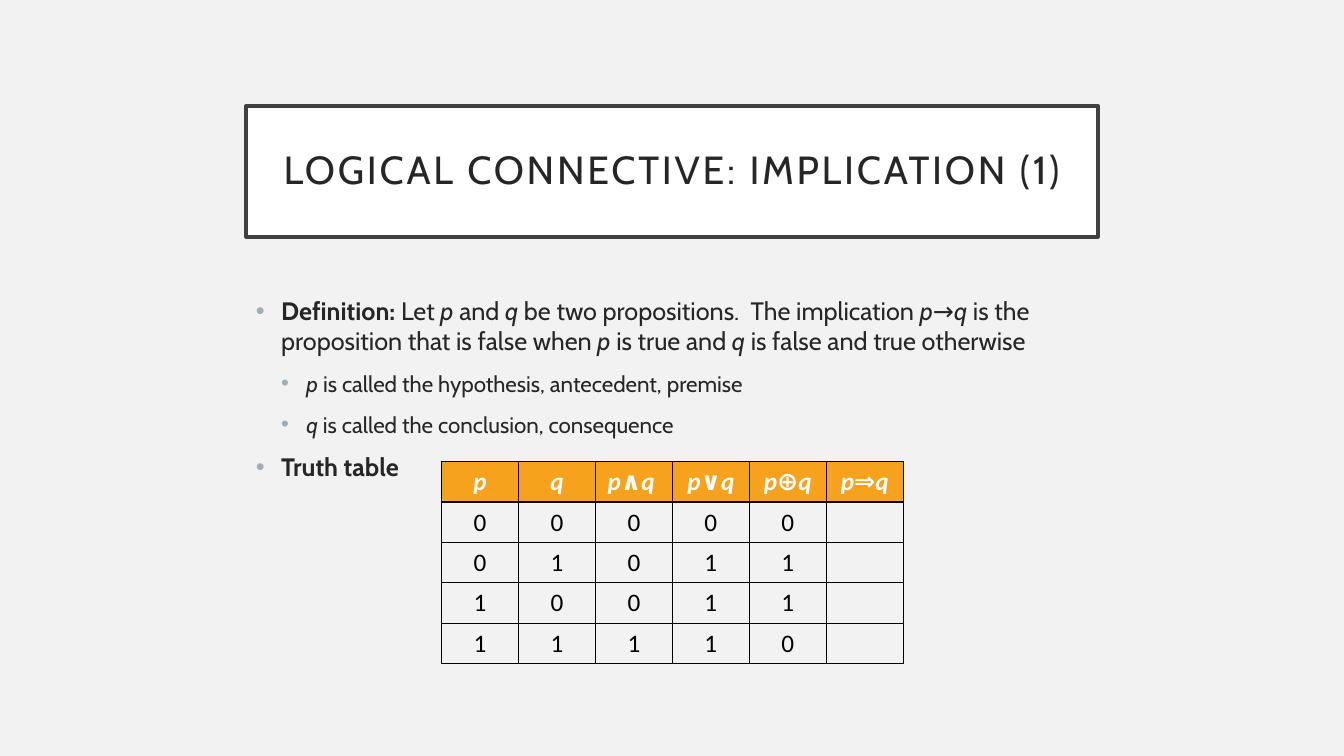
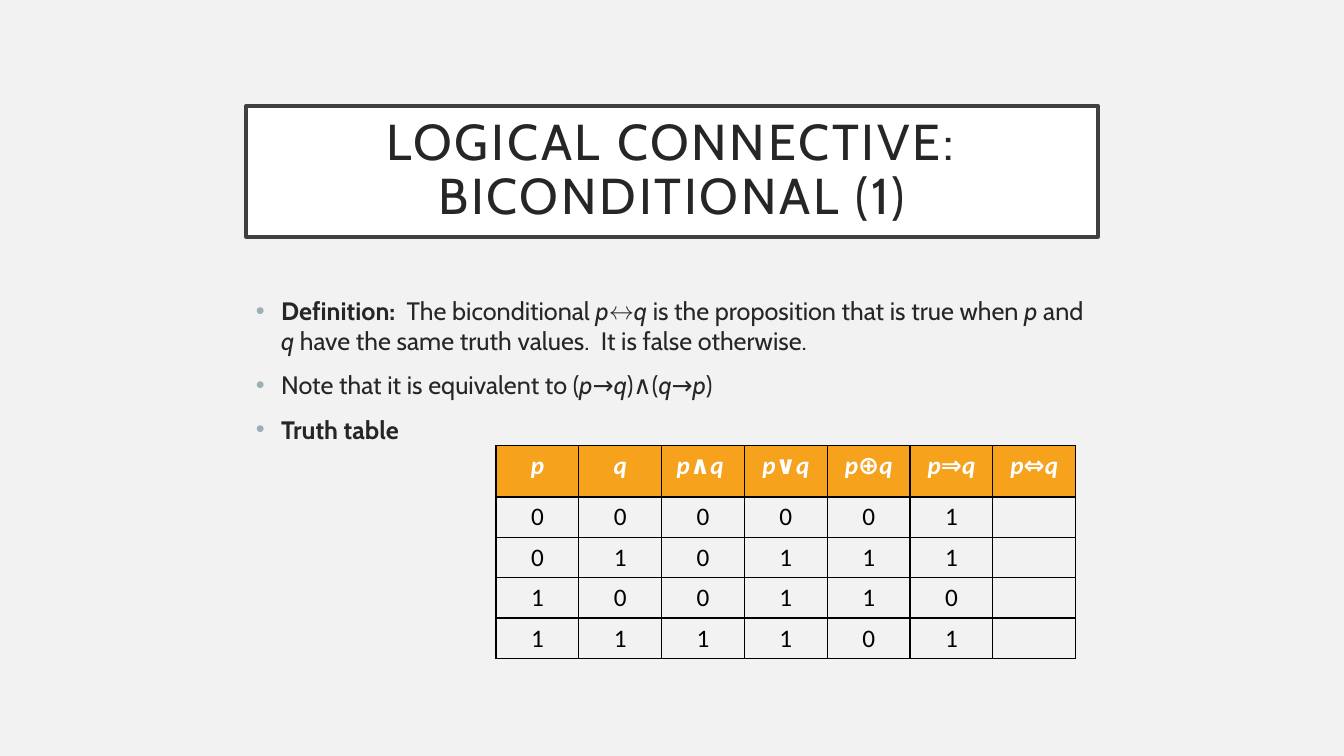
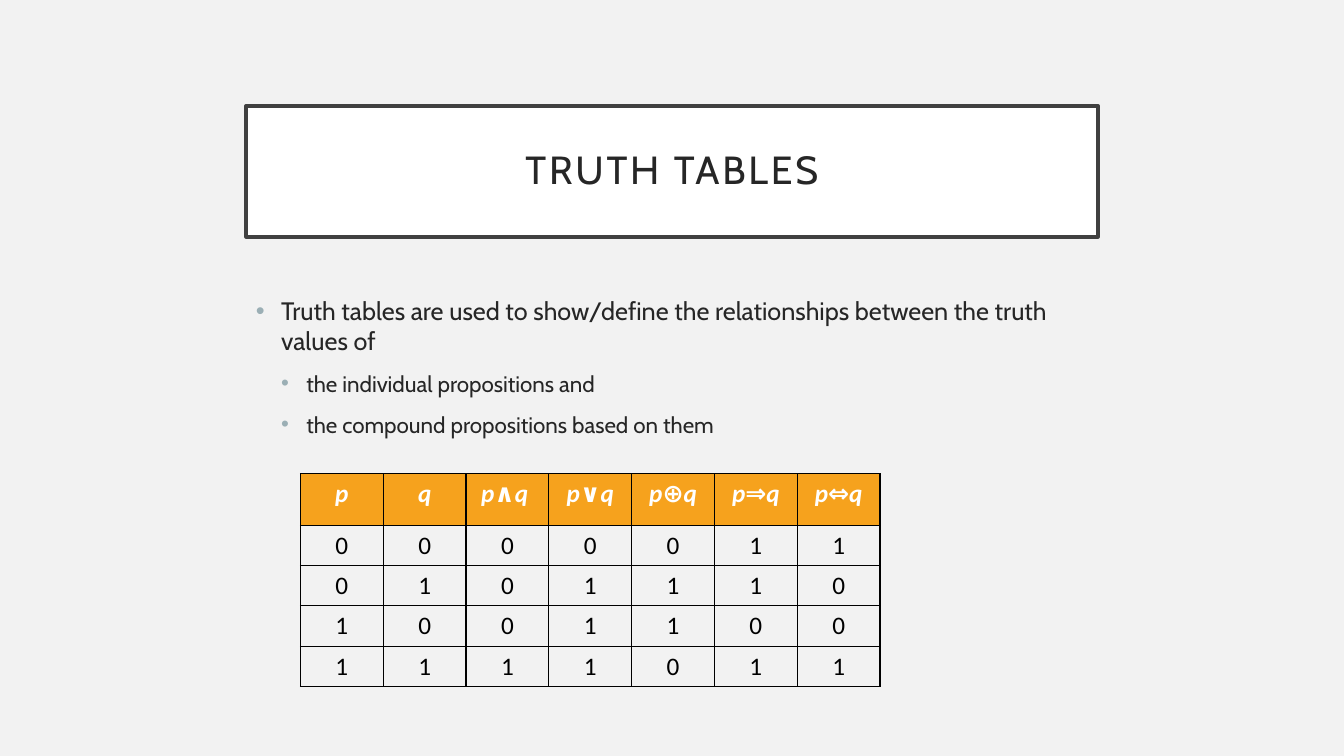
import itertools
from dataclasses import dataclass

import pptx
import pptx.dml.color
import pptx.enum.text
import pptx.oxml
import pptx.oxml.ns
import pptx.util
from lxml import etree


@dataclass(frozen=True)
class Theme:
    background: str = "F2F2F2"
    title_fill: str = "FFFFFF"
    title_line: str = "404040"
    text: str = "262626"
    bullet: str = "9BAFB5"
    header_fill: str = "F6A21D"
    header_text: str = "FFFFFF"
    cell_text: str = "000000"
    border: str = "000000"
    font: str = "Cabin"
    table_font: str = "Calibri"
    body_sizes: tuple = (18, 16)
    table_size: int = 18


THEME = Theme()
SLIDE_SIZE = (13.33, 7.5)
TITLE_BOX = (2.44, 1.05, 8.45, 1.3)
BODY_BOX = (2.44, 2.88, 8.45, 3.39)
INDENT = 0.25
ROW_HEIGHT = 0.4

# In marked text, * switches bold on or off and _ switches italic.
CONNECTIVES = [
    ("_p_", lambda p, q: p),
    ("_q_", lambda p, q: q),
    ("_p_∧_q _", lambda p, q: p and q),
    ("_p_∨_q_", lambda p, q: p or q),
    ("_p_⊕_q_", lambda p, q: p != q),
    ("_p_⇒_q_", lambda p, q: not p or q),
    ("_p⇔q_", lambda p, q: p == q),
]

SLIDES = [
    {
        "title": "LOGICAL CONNECTIVE: IMPLICATION (1)",
        "title_size": 28,
        "body": [
            (0, "*Definition: *Let _p_ and _q_ be two propositions.  The implication _p_→_q_ is the "
                "proposition that is false when _p_ is true and _q_ is false and true otherwise"),
            (1, "_p_ is called the hypothesis, antecedent, premise"),
            (1, "_q_ is called the conclusion, consequence"),
            (0, "*Truth table*"),
        ],
        "table": {"at": (4.38, 4.58), "width": 4.58, "header": 0.4, "columns": 6, "solved": 5},
    },
    {
        "title": "LOGICAL CONNECTIVE: BICONDITIONAL (1)",
        "title_size": 36,
        "body": [
            (0, "*Definition: * The biconditional _p_↔_q_ is the proposition that is true when _p_ "
                "and _q_ have the same truth values.  It is false otherwise."),
            (0, "Note that it is equivalent to (_p_→_q_)∧(_q_→_p_)"),
            (0, "*Truth table*"),
        ],
        "table": {"at": (4.92, 4.42), "width": 5.75, "header": 0.51, "columns": 7, "solved": 6},
    },
    {
        "title": "TRUTH TABLES",
        "title_size": 28,
        "body": [
            (0, "Truth tables are used to show/define the relationships between the truth values of"),
            (1, "the individual propositions and"),
            (1, "the compound propositions based on them"),
        ],
        "table": {"at": (2.98, 4.7), "width": 5.75, "header": 0.51, "columns": 7, "solved": 7},
    },
]


def inches(lengths):
    return [pptx.util.Inches(length) for length in lengths]


def color(value):
    return pptx.dml.color.RGBColor.from_string(value)


def paint(fill, value):
    fill.solid()
    fill.fore_color.rgb = color(value)


def set_font(font, name, size, value):
    font.name = name
    font.size = pptx.util.Pt(size)
    font.color.rgb = color(value)


def add_marked_text(paragraph, marked):
    """Add one run for each stretch of equal bold and italic."""
    for bold_index, stretch in enumerate(marked.split("*")):
        for italic_index, text in enumerate(stretch.split("_")):
            if text:
                run = paragraph.add_run()
                run.text = text
                run.font.bold = bold_index % 2 == 1
                run.font.italic = italic_index % 2 == 1


def add_element(parent, tag, **attributes):
    return etree.SubElement(parent, pptx.oxml.ns.qn(tag), attributes)


def add_bullet(paragraph, level):
    properties = paragraph._p.get_or_add_pPr()
    properties.set("marL", str(pptx.util.Inches(INDENT * (level + 1))))
    properties.set("indent", str(pptx.util.Inches(-INDENT)))
    add_element(add_element(properties, "a:buClr"), "a:srgbClr", val=THEME.bullet)
    add_element(properties, "a:buFont", typeface="Arial")
    add_element(properties, "a:buChar", char="•")


def add_title(slide, text, size):
    title = slide.shapes.title
    title.left, title.top, title.width, title.height = inches(TITLE_BOX)
    paint(title.fill, THEME.title_fill)
    title.line.color.rgb = color(THEME.title_line)
    title.line.width = pptx.util.Pt(2.5)
    frame = title.text_frame
    frame.word_wrap = True
    frame.auto_size = pptx.enum.text.MSO_AUTO_SIZE.NONE
    frame.vertical_anchor = pptx.enum.text.MSO_ANCHOR.MIDDLE
    for side in ("left", "top", "right", "bottom"):
        setattr(frame, f"margin_{side}", pptx.util.Inches(0.2))
    paragraph = frame.paragraphs[0]
    paragraph.alignment = pptx.enum.text.PP_ALIGN.CENTER
    paragraph.line_spacing = 0.9
    run = paragraph.add_run()
    run.text = text
    set_font(run.font, THEME.font, size, THEME.text)
    run._r.get_or_add_rPr().set("spc", "200")


def add_body(slide, items):
    frame = slide.shapes.add_textbox(*inches(BODY_BOX)).text_frame
    frame.word_wrap = True
    for index, (level, marked) in enumerate(items):
        paragraph = frame.add_paragraph() if index else frame.paragraphs[0]
        paragraph.level = level
        add_bullet(paragraph, level)
        if index:
            paragraph.space_before = pptx.util.Pt(10)
        set_font(paragraph.font, THEME.font, THEME.body_sizes[level], THEME.text)
        add_marked_text(paragraph, marked)


def format_cell(cell, marked, fill, text_color):
    properties = cell._tc.get_or_add_tcPr()
    for side in "LRTB":
        line = add_element(properties, f"a:ln{side}", w=str(pptx.util.Pt(1)))
        add_element(add_element(line, "a:solidFill"), "a:srgbClr", val=THEME.border)
    paint(cell.fill, fill)
    paragraph = cell.text_frame.paragraphs[0]
    paragraph.alignment = pptx.enum.text.PP_ALIGN.CENTER
    set_font(paragraph.font, THEME.table_font, THEME.table_size, text_color)
    add_marked_text(paragraph, marked)


def add_truth_table(slide, at, width, header, columns, solved):
    """Show the first connectives; columns past the solved ones stay empty."""
    shown = CONNECTIVES[:columns]
    rows = [[f"*{label}*" for label, _ in shown]]
    for p, q in itertools.product((0, 1), repeat=2):
        rows.append([str(int(rule(p, q))) if index < solved else ""
                     for index, (_, rule) in enumerate(shown)])
    heights = [header] + [ROW_HEIGHT] * (len(rows) - 1)
    table = slide.shapes.add_table(len(rows), columns, *inches((*at, width, sum(heights)))).table
    table.first_row = table.horz_banding = False
    for column in table.columns:
        column.width = pptx.util.Inches(width / columns)
    for row_index, (row, height) in enumerate(zip(rows, heights)):
        table.rows[row_index].height = pptx.util.Inches(height)
        if row_index == 0:
            fill, text_color = THEME.header_fill, THEME.header_text
        else:
            fill, text_color = THEME.background, THEME.cell_text
        for column_index, marked in enumerate(row):
            format_cell(table.cell(row_index, column_index), marked, fill, text_color)


def main():
    presentation = pptx.Presentation()
    presentation.slide_width, presentation.slide_height = inches(SLIDE_SIZE)
    paint(presentation.slide_master.background.fill, THEME.background)
    title_only = presentation.slide_layouts.get_by_name("Title Only")
    for content in SLIDES:
        slide = presentation.slides.add_slide(title_only)
        add_title(slide, content["title"], content["title_size"])
        add_body(slide, content["body"])
        add_truth_table(slide, **content["table"])
    presentation.save("out.pptx")


if __name__ == "__main__":
    main()
